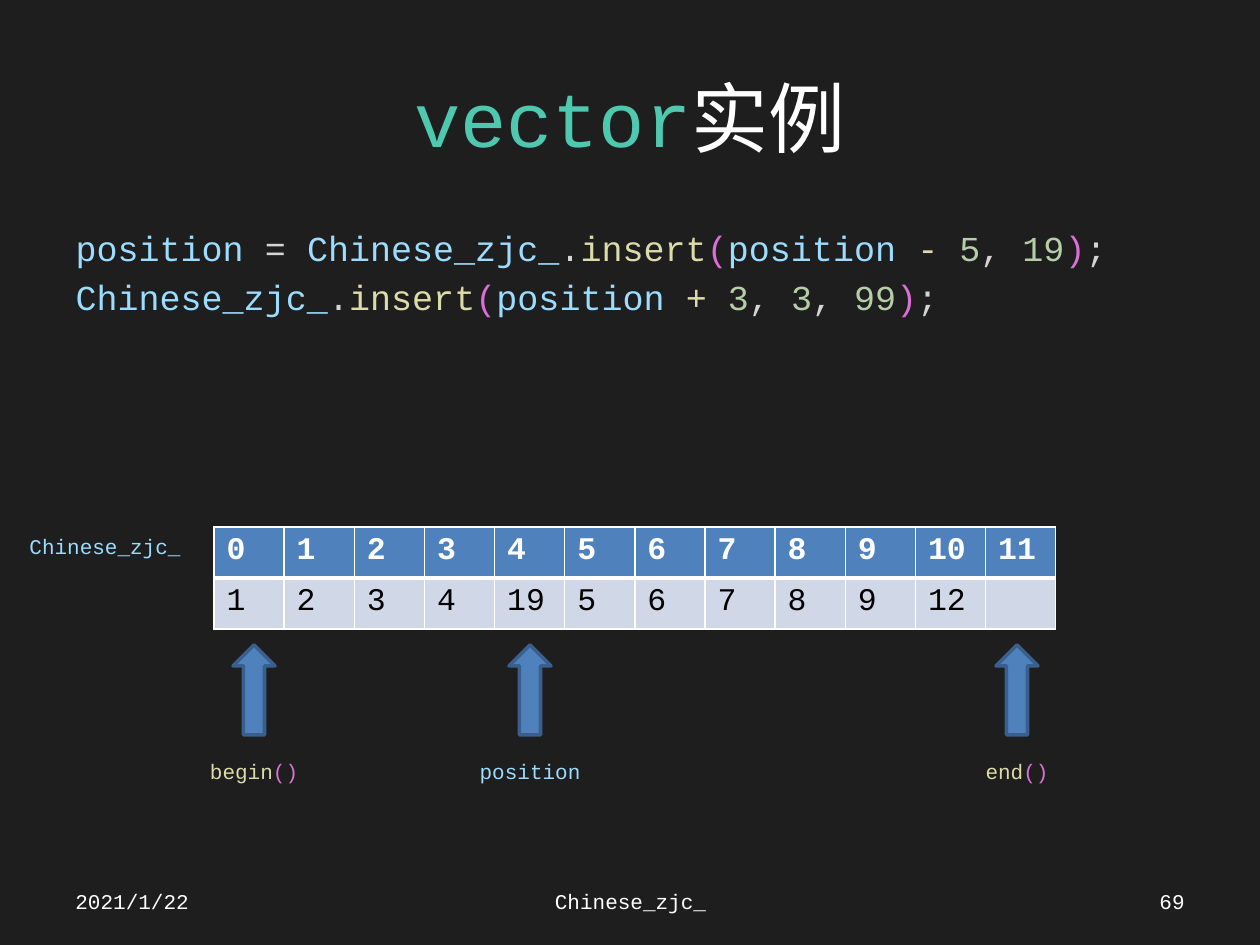
from lxml import etree
from pptx import Presentation
from pptx.dml.color import RGBColor
from pptx.enum.shapes import MSO_SHAPE
from pptx.enum.text import MSO_ANCHOR, MSO_AUTO_SIZE, PP_ALIGN
from pptx.oxml.ns import qn
from pptx.util import Emu, Pt

PX = 914400 / 126
CODE_FONT, CHINESE_FONT = "Courier New", "Noto Sans CJK SC"
LEFT, CENTER, RIGHT = PP_ALIGN.LEFT, PP_ALIGN.CENTER, PP_ALIGN.RIGHT
TOP, MIDDLE = MSO_ANCHOR.TOP, MSO_ANCHOR.MIDDLE
UP_ARROW = MSO_SHAPE.UP_ARROW
NO_AUTOFIT = MSO_AUTO_SIZE.NONE

BACKGROUND = RGBColor(0x1E, 0x1E, 0x1E)
WHITE = RGBColor(0xFF, 0xFF, 0xFF)
BLACK = RGBColor(0x00, 0x00, 0x00)
TYPE = RGBColor(0x4E, 0xC9, 0xB0)
VARIABLE = RGBColor(0x9C, 0xDC, 0xFE)
PLAIN = RGBColor(0xD4, 0xD4, 0xD4)
FUNCTION = RGBColor(0xDC, 0xDC, 0xAA)
BRACKET = RGBColor(0xDA, 0x70, 0xD6)
NUMBER = RGBColor(0xB5, 0xCE, 0xA8)
BLUE = RGBColor(0x4F, 0x81, 0xBD)
DARK_BLUE = RGBColor(0x3A, 0x5F, 0x8C)
PALE_BLUE = RGBColor(0xD0, 0xD8, 0xE8)

VECTOR_NAME = "Chinese_zjc_"
INSERT_CALL = [(VECTOR_NAME, VARIABLE), (".", PLAIN), ("insert", FUNCTION),
               ("(", BRACKET), ("position ", VARIABLE)]
COMMA = (", ", PLAIN)
CALL_END = [(")", BRACKET), (";", PLAIN)]
CODE_LINES = [
    [("position ", VARIABLE), ("= ", PLAIN), *INSERT_CALL, ("- ", FUNCTION),
     ("5", NUMBER), COMMA, ("19", NUMBER), *CALL_END],
    [*INSERT_CALL, ("+ ", FUNCTION), ("3", NUMBER), COMMA, ("3", NUMBER),
     COMMA, ("99", NUMBER), *CALL_END],
]
INDEXES = [str(index) for index in range(12)]
VALUES = ["1", "2", "3", "4", "19", "5", "6", "7", "8", "9", "12", ""]
POINTERS = [
    (164, [("begin", FUNCTION), ("()", BRACKET)]),
    (440, [("position", VARIABLE)]),
    (927, [("end", FUNCTION), ("()", BRACKET)]),
]
FOOTERS = [
    (63, 294, "2021/1/22", LEFT),
    (431, 399, VECTOR_NAME, CENTER),
    (903, 294, "69", RIGHT),
]


def px(*lengths):
    return [Emu(round(length * PX)) for length in lengths]


def add_span(para, text, color, size, font=CODE_FONT, bold=False):
    span = para.add_run()
    span.text = text
    span.font.name = font
    span.font.size = Pt(size)
    span.font.bold = bold
    span.font.color.rgb = color
    east_asian = etree.SubElement(span._r.get_or_add_rPr(), qn("a:ea"))
    east_asian.set("typeface", font)


def place(placeholder, left, top, width, height):
    (placeholder.left, placeholder.top,
     placeholder.width, placeholder.height) = px(left, top, width, height)
    placeholder.text_frame.auto_size = NO_AUTOFIT


def add_label(shapes, area, spans, align=CENTER, anchor=TOP):
    frame = shapes.add_textbox(*px(*area)).text_frame
    frame.word_wrap = True
    frame.vertical_anchor = anchor
    para = frame.paragraphs[0]
    para.alignment = align
    for text, color in spans:
        add_span(para, text, color, 12)


def fill_title(title):
    place(title, 63, 38, 1134, 158)
    title.text_frame.vertical_anchor = MIDDLE
    para = title.text_frame.paragraphs[0]
    para.alignment = CENTER
    add_span(para, "vector", TYPE, 44)
    add_span(para, "实例", WHITE, 44, CHINESE_FONT)


def fill_code(body):
    place(body, 63, 220, 1134, 118)
    frame = body.text_frame
    for number, line in enumerate(CODE_LINES):
        para = frame.add_paragraph() if number else frame.paragraphs[0]
        properties = para._p.get_or_add_pPr()
        properties.set("marL", "0")
        properties.set("indent", "0")
        etree.SubElement(properties, qn("a:buNone"))
        for text, color in line:
            add_span(para, text, color, 20)


def add_border(cell, side, width):
    line = etree.SubElement(cell._tc.get_or_add_tcPr(), qn("a:ln" + side))
    line.set("w", str(Pt(width)))
    fill = etree.SubElement(line, qn("a:solidFill"))
    etree.SubElement(fill, qn("a:srgbClr")).set("val", str(WHITE))


def add_vector_table(page):
    rows = [(INDEXES, BLUE, WHITE, True, {"T": 1, "B": 3}),
            (VALUES, PALE_BLUE, BLACK, False, {"T": 3, "B": 1})]
    frame = page.shapes.add_table(len(rows), len(INDEXES),
                                  *px(214, 527, 842, 102))
    for row, (texts, fill, color, bold, edges) in enumerate(rows):
        for column, text in enumerate(texts):
            cell = frame.table.cell(row, column)
            # Borders come before the fill in the cell properties
            for side, width in {"L": 1, "R": 1, **edges}.items():
                add_border(cell, side, width)
            cell.fill.solid()
            cell.fill.fore_color.rgb = fill
            para = cell.text_frame.paragraphs[0]
            if text:
                add_span(para, text, color, 18, bold=bold)
            else:
                para.font.size = Pt(18)


def add_pointer(page, left, spans):
    group = page.shapes.add_group_shape()
    arrow = group.shapes.add_shape(UP_ARROW, *px(left + 69, 645, 42, 90))
    arrow.shadow.inherit = False
    arrow.fill.solid()
    arrow.fill.fore_color.rgb = BLUE
    arrow.line.color.rgb = DARK_BLUE
    arrow.line.width = Pt(2)
    add_label(group.shapes, (left, 752, 180, 38), spans)


def main():
    deck = Presentation()
    deck.slide_width, deck.slide_height = px(1260, 945)
    page = deck.slides.add_slide(deck.slide_layouts[1])
    page.background.fill.solid()
    page.background.fill.fore_color.rgb = BACKGROUND

    # Title and code
    fill_title(page.shapes.title)
    fill_code(page.placeholders[1])

    # Vector contents with its iterators
    add_vector_table(page)
    add_label(page.shapes, (15, 527, 180, 38), [(VECTOR_NAME, VARIABLE)])
    for left, spans in POINTERS:
        add_pointer(page, left, spans)

    # Footer
    for left, width, text, align in FOOTERS:
        add_label(page.shapes, (left, 876, width, 50), [(text, WHITE)],
                  align, MIDDLE)

    deck.save("out.pptx")


if __name__ == "__main__":
    main()
